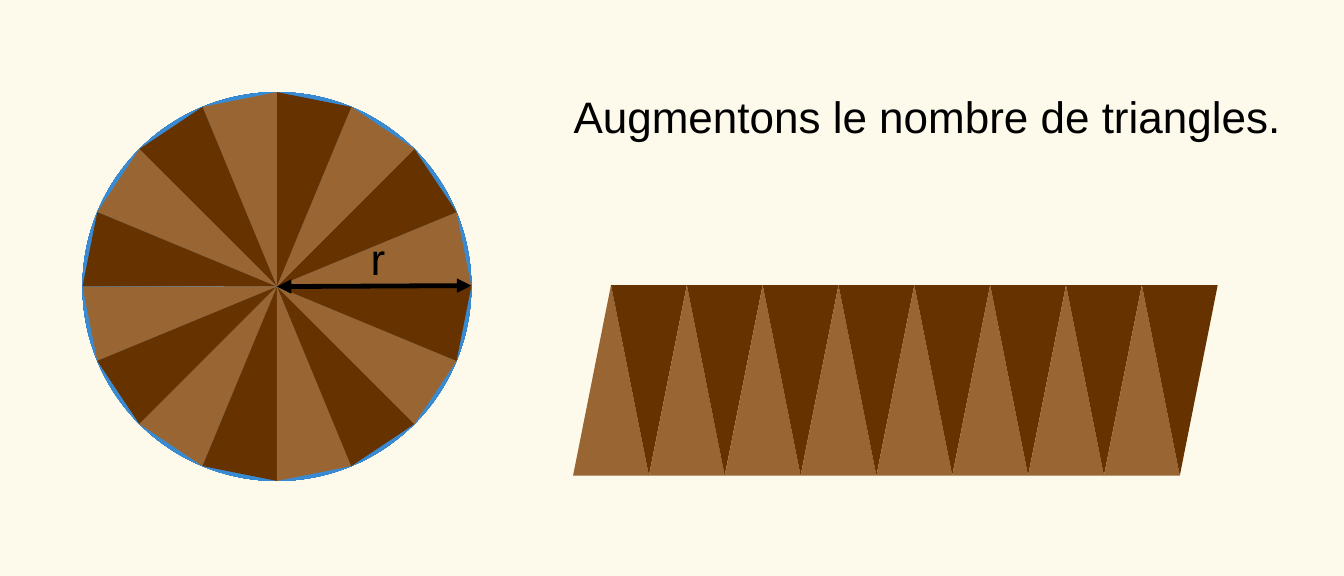
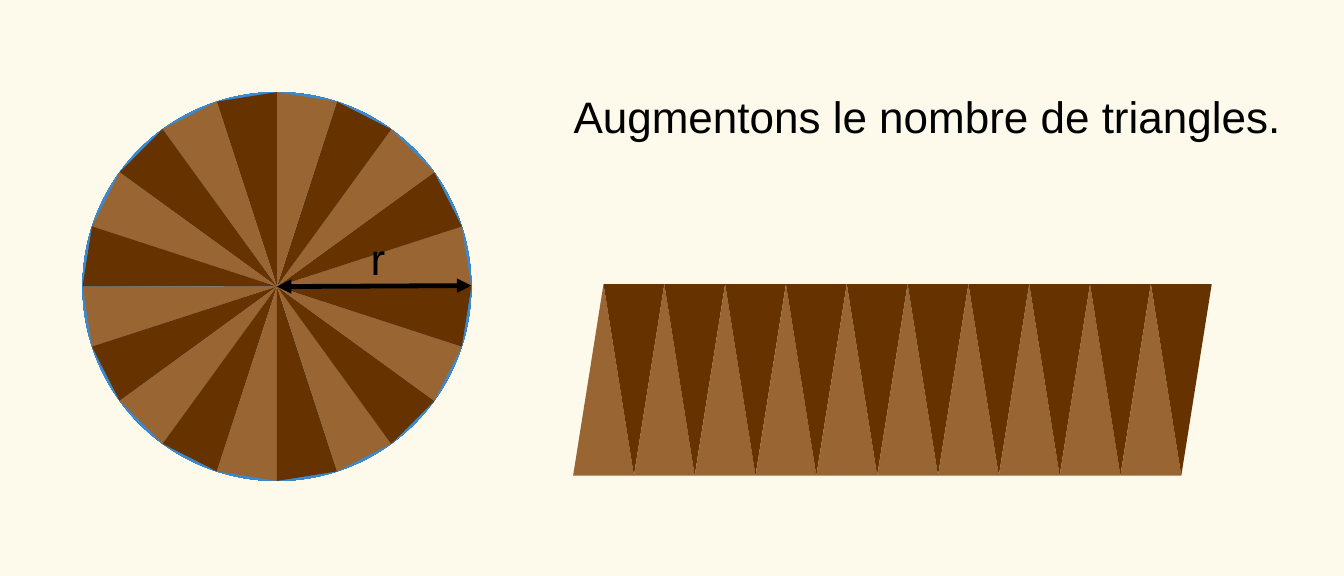
import math

import pptx
import pptx.dml.color
import pptx.enum.shapes
import pptx.enum.text
import pptx.oxml
import pptx.oxml.ns
import pptx.util

Cm = pptx.util.Cm
COLORS = {"background": "FDFAEC", "light": "996633", "dark": "663300",
          "rim_center": "99CCFF", "rim_edge": "1070C0", "ink": "000000"}
FONT, SIZE = "Arial", 26

# Disc geometry, in cm
CX, CY, RADIUS = 5.77, 5.97, 4.05


def rgb(name):
    return pptx.dml.color.RGBColor.from_string(COLORS[name])


def element(xml):
    """Parse a fragment such as 'a:effectLst' with the drawing namespace."""
    tag, _, rest = xml.partition(" ")
    return pptx.oxml.parse_xml(f"<{tag} {pptx.oxml.ns.nsdecls('a')} {rest}")


class Deck:
    def __init__(self, width, height):
        self.prs = pptx.Presentation()
        self.prs.slide_width, self.prs.slide_height = Cm(width), Cm(height)

    def new_slide(self):
        self.s = self.prs.slides.add_slide(self.prs.slide_layouts[6])
        fill = self.s.background.fill
        fill.solid()
        fill.fore_color.rgb = rgb("background")

    def triangle(self, points, color):
        corners = [(Cm(x), Cm(y)) for x, y in points]
        builder = self.s.shapes.build_freeform(*corners[0])
        builder.add_line_segments(corners[1:], close=True)
        sp = builder.convert_to_shape()
        sp.shadow.inherit = False
        sp.fill.solid()
        sp.fill.fore_color.rgb = rgb(color)
        sp.line.fill.background()
        return sp

    def circle(self, cx, cy, radius):
        sp = self.s.shapes.add_shape(
            pptx.enum.shapes.MSO_SHAPE.OVAL,
            Cm(cx - radius), Cm(cy - radius), Cm(2 * radius), Cm(2 * radius))
        sp.shadow.inherit = False
        sp.line.fill.background()
        sp.fill.gradient()
        for stop, color in zip(sp.fill.gradient_stops, ("rim_center", "rim_edge")):
            stop.color.rgb = rgb(color)
        # Radial instead of linear
        lin = sp._element.spPr.find(".//" + pptx.oxml.ns.qn("a:lin"))
        lin.getparent().replace(lin, element(
            'a:path path="circle"><a:fillToRect l="50000" t="50000" '
            'r="50000" b="50000"/></a:path>'))
        return sp

    def double_arrow(self, x1, y1, x2, y2):
        line = self.s.shapes.add_connector(
            pptx.enum.shapes.MSO_CONNECTOR.STRAIGHT, Cm(x1), Cm(y1), Cm(x2), Cm(y2))
        line.line.color.rgb = rgb("ink")
        line.line.width = pptx.util.Pt(2.83)
        for end in ("headEnd", "tailEnd"):
            line.line._get_or_add_ln().append(element(f'a:{end} type="triangle"/>'))
        line._element.spPr.append(element("a:effectLst />"))
        return line

    def text(self, text, x, y, width, height):
        box = self.s.shapes.add_textbox(Cm(x), Cm(y), Cm(width), Cm(height))
        tf = box.text_frame
        tf.word_wrap = True
        tf.auto_size = pptx.enum.text.MSO_AUTO_SIZE.SHAPE_TO_FIT_TEXT
        tf.text = text
        font = tf.paragraphs[0].runs[0].font
        font.name, font.size = FONT, pptx.util.Pt(SIZE)
        font.color.rgb = rgb("ink")
        return box

    def disc(self, count):
        """Circle cut into triangles, counter-clockwise from the right."""
        rim = [(CX + RADIUS * math.cos(2 * math.pi * k / count),
                CY - RADIUS * math.sin(2 * math.pi * k / count))
               for k in range(count + 1)]
        parts = [self.circle(CX, CY, RADIUS)]
        for k in range(count):
            parts.append(self.triangle([(CX, CY), rim[k], rim[k + 1]],
                                       ("light", "dark")[k % 2]))
        parts.append(self.double_arrow(CX, CY, CX + RADIUS, CY - 0.02))
        parts.append(self.text("r", 7.47, 4.7, 1.5, 2.92))
        self.s.shapes.add_group_shape(parts)

    def strip(self, count, left, top, width, bottom):
        """The same triangles side by side, alternately up and down."""
        base = 2 * width / count
        parts = []
        for k in range(count):
            x = left + k * base / 2
            foot, tip, color = ((bottom, top, "light"), (top, bottom, "dark"))[k % 2]
            parts.append(self.triangle(
                [(x, foot), (x + base, foot), (x + base / 2, tip)], color))
        self.s.shapes.add_group_shape(parts)


deck = Deck(28, 12)

# One slide per number of triangles: count, strip top, strip base width
for count, top, width in ((16, 5.94, 12.64), (20, 5.92, 12.67)):
    deck.new_slide()
    deck.disc(count)
    deck.strip(count, 11.94, top, width, 9.91)
    deck.text("Augmentons le nombre de triangles.", 11.7, 1.75, 15.3, 2)

deck.prs.save("out.pptx")
